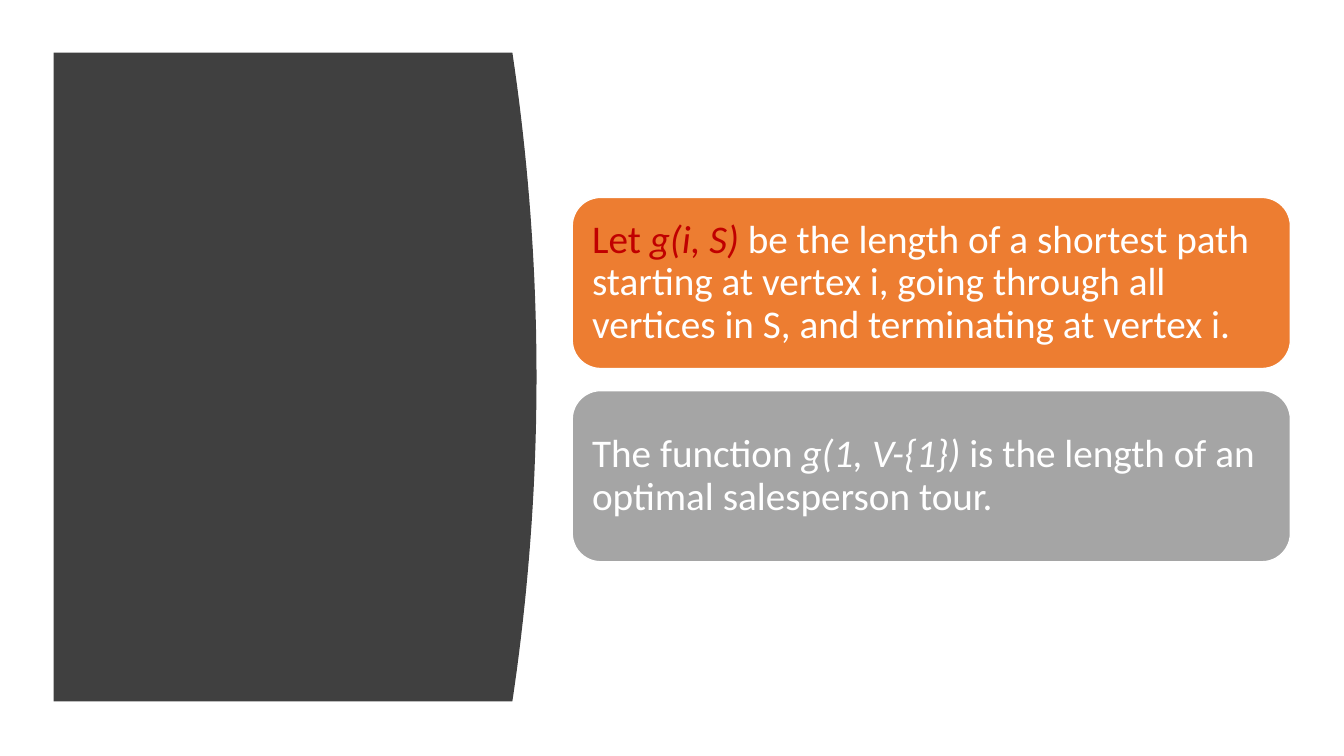
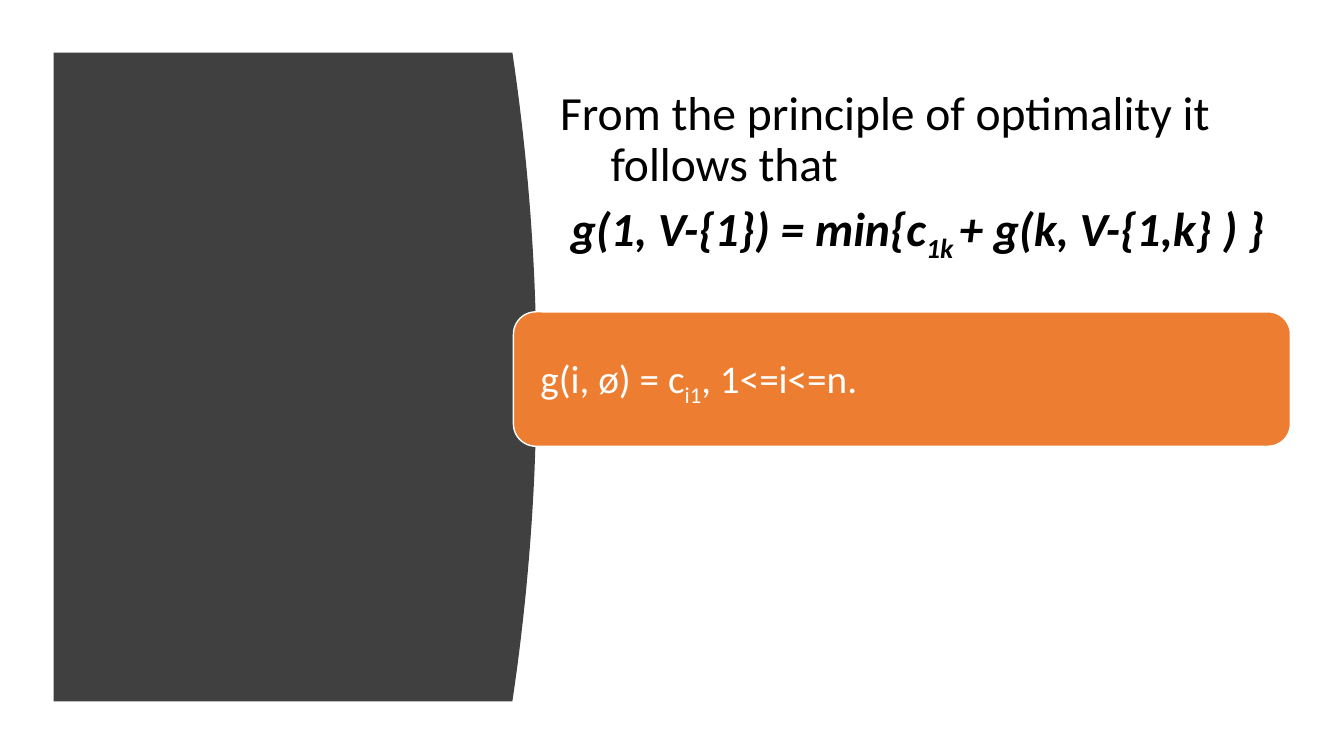
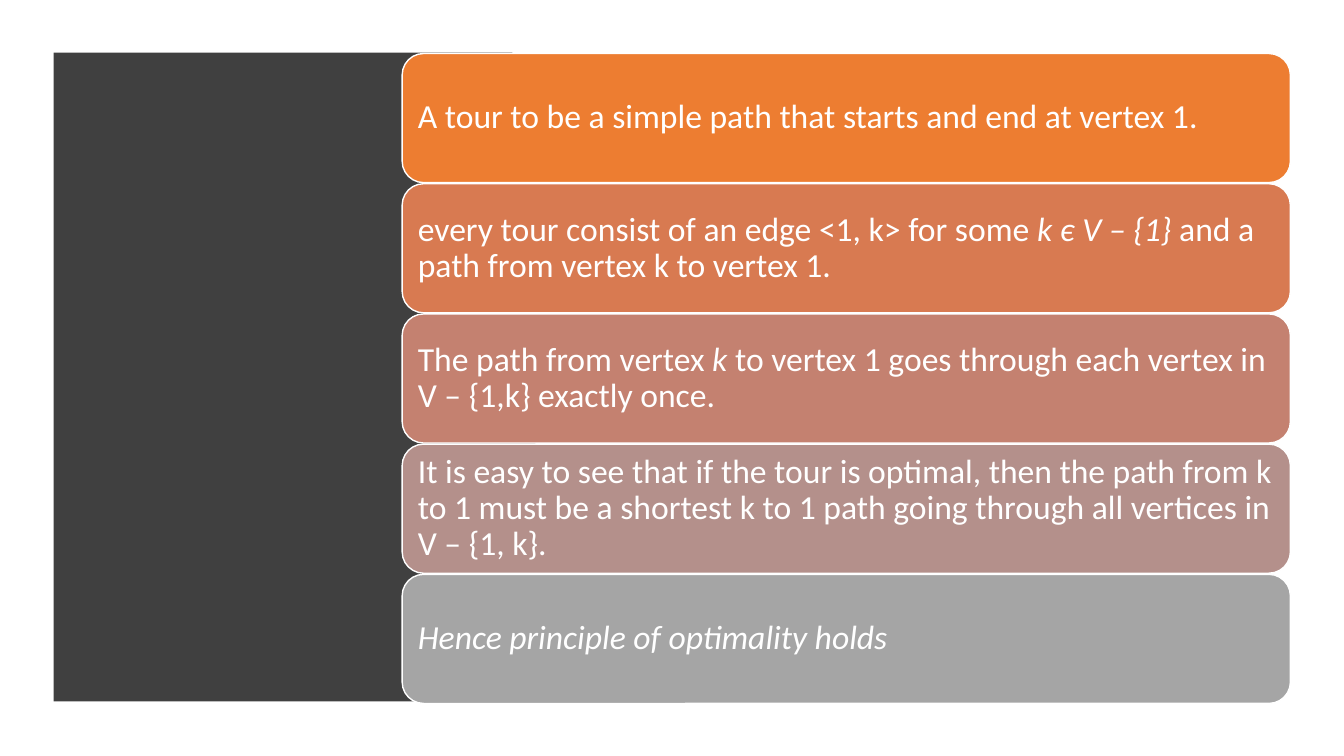
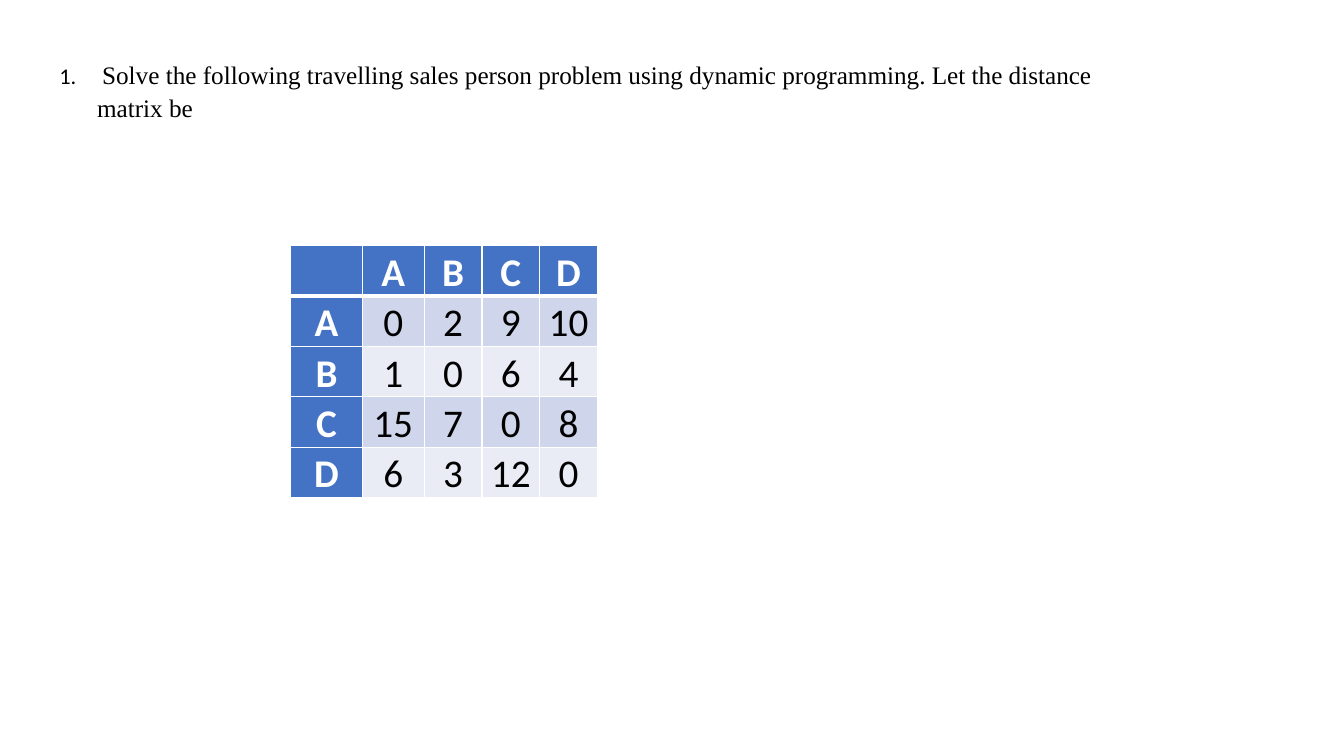
"""Build four slides on the travelling salesperson problem."""
from dataclasses import dataclass

import pptx
import pptx.dml.color
import pptx.enum.shapes
import pptx.enum.text
import pptx.oxml.ns
import pptx.shapes.autoshape
import pptx.slide
import pptx.table
import pptx.text.text
import pptx.util
from lxml import etree

PX = 9525


@dataclass(frozen=True)
class Theme:
    sans: str = "Calibri"
    serif: str = "Times New Roman"
    white: str = "FFFFFF"
    black: str = "000000"
    panel: str = "404040"
    orange: str = "ED7D31"
    gray: str = "A5A5A5"
    accent: str = "C00000"
    blend: tuple[str, ...] = ("ED7D31", "D87A51", "C48170", "B4908B", "A5A5A5")
    table_head: str = "4472C4"
    table_bands: tuple[str, str] = ("CFD5EA", "E9EBF5")
    statement: int = 34
    card: int = 28
    dense_card: int = 24
    question: int = 18
    number: int = 16


THEME = Theme()


@dataclass(frozen=True)
class Span:
    text: str
    italic: bool = False
    bold: bool = False
    subscript: bool = False
    color: str | None = None
    font: str = THEME.sans
    size: int | None = None


@dataclass(frozen=True)
class Area:
    left: int
    top: int
    width: int
    height: int

    def emu(self) -> tuple[int, int, int, int]:
        return self.left * PX, self.top * PX, self.width * PX, self.height * PX


@dataclass(frozen=True)
class Card:
    spans: tuple[Span, ...]
    fill: str


DEFINITIONS = (
    Card((Span("Let ", color=THEME.accent),
          Span("g(i, S) ", italic=True, color=THEME.accent),
          Span("be the length of a shortest path starting at vertex i, going through "
               "all vertices in S, and terminating at vertex i.")), THEME.orange),
    Card((Span("The function "), Span("g(1, V-{1}) ", italic=True),
          Span("is the length of an optimal salesperson tour.")), THEME.gray),
)
BASE_CASE = Card((Span(" g(i, ø) = c"), Span("i1", subscript=True),
                  Span(", 1<=i<=n.")), THEME.orange)
PRINCIPLE = (Span("From the principle of optimality it follows that"),)
RECURRENCE = (
    Span(" ", italic=True),
    Span("g(1, V-{1}) = min{c", italic=True, bold=True),
    Span("1k ", italic=True, bold=True, subscript=True),
    Span("+ g(k, V-{1,k} ) }", italic=True, bold=True),
)
ARGUMENT = (
    (Span("A tour to be a simple path that starts and end at vertex 1."),),
    (Span("every tour consist of an edge <1, k> for some "),
     Span("k є V – {1} ", italic=True),
     Span("and a path from vertex k to vertex 1.")),
    (Span("The path from vertex "), Span("k ", italic=True),
     Span("to vertex 1 goes through each vertex in V – {1,k} exactly once.")),
    (Span("It is easy to see that if the tour is optimal, then the path from k to 1 "
          "must be a shortest k to 1 path going through all vertices in V – {1, k}."),),
    (Span("Hence principle of optimality holds", italic=True),),
)
QUESTION = (
    Span(" ", size=THEME.number),
    Span("Solve the following travelling sales person problem using dynamic "
         "programming. Let the distance matrix be", font=THEME.serif),
)
DISTANCES = (
    ("", "A", "B", "C", "D"),
    ("A", "0", "2", "9", "10"),
    ("B", "1", "0", "6", "4"),
    ("C", "15", "7", "0", "8"),
    ("D", "6", "3", "12", "0"),
)
COLUMN_WIDTHS = (68, 59, 55, 55, 55)


def rgb(color: str) -> pptx.dml.color.RGBColor:
    return pptx.dml.color.RGBColor.from_string(color)


def add_slide(deck: pptx.presentation.Presentation) -> pptx.slide.Slide:
    return deck.slides.add_slide(deck.slide_layouts[6])


def write_spans(para: pptx.text.text._Paragraph, spans: tuple[Span, ...],
                size: int, color: str, line_spacing: float = 0.9) -> None:
    para.line_spacing = line_spacing
    for span in spans:
        run = para.add_run()
        run.text = span.text
        font = run.font
        font.name = span.font
        font.size = pptx.util.Pt(span.size or size)
        font.bold = span.bold
        font.italic = span.italic
        font.color.rgb = rgb(span.color or color)
        if span.subscript:
            font._element.set("baseline", "-25000")


def hang_indent(para: pptx.text.text._Paragraph, indent: int) -> None:
    properties = para._p.get_or_add_pPr()
    properties.set("marL", str(indent * PX))
    properties.set("indent", str(-indent * PX))


def number_paragraph(para: pptx.text.text._Paragraph, tab: int) -> None:
    properties = para._p.get_or_add_pPr()
    etree.SubElement(properties, pptx.oxml.ns.qn("a:buAutoNum"), type="arabicPeriod")
    tabs = etree.SubElement(properties, pptx.oxml.ns.qn("a:tabLst"))
    etree.SubElement(tabs, pptx.oxml.ns.qn("a:tab"), pos=str(tab * PX), algn="l")


def add_panel(slide: pptx.slide.Slide) -> None:
    left, top, shoulder, bulge, bottom = 51, 50, 488, 23, 668
    steps = 40
    curve = []
    for step in range(steps + 1):
        share = step / steps
        x = shoulder + bulge * 4 * share * (1 - share)
        curve.append((round(x * PX), round((top + (bottom - top) * share) * PX)))
    builder = slide.shapes.build_freeform(left * PX, top * PX)
    builder.add_line_segments(curve + [(left * PX, bottom * PX)], close=True)
    panel = builder.convert_to_shape()
    panel.shadow.inherit = False
    panel.fill.solid()
    panel.fill.fore_color.rgb = rgb(THEME.panel)
    panel.line.fill.background()


def add_card(slide: pptx.slide.Slide, card: Card, area: Area, size: int,
             inset: int) -> None:
    box = slide.shapes.add_shape(
        pptx.enum.shapes.MSO_SHAPE.ROUNDED_RECTANGLE, *area.emu())
    box.shadow.inherit = False
    box.fill.solid()
    box.fill.fore_color.rgb = rgb(card.fill)
    box.line.color.rgb = rgb(THEME.white)
    box.line.width = pptx.util.Pt(1)
    frame = box.text_frame
    frame.word_wrap = True
    frame.vertical_anchor = pptx.enum.text.MSO_ANCHOR.MIDDLE
    frame.margin_left = frame.margin_right = inset * PX
    frame.margin_top = frame.margin_bottom = inset * PX
    para = frame.paragraphs[0]
    para.alignment = pptx.enum.text.PP_ALIGN.LEFT
    write_spans(para, card.spans, size, THEME.white)


def add_card_stack(slide: pptx.slide.Slide, cards: tuple[Card, ...], first: Area,
                   pitch: int, size: int, inset: int) -> None:
    for index, card in enumerate(cards):
        area = Area(first.left, first.top + index * pitch, first.width, first.height)
        add_card(slide, card, area, size, inset)


def add_text(slide: pptx.slide.Slide, area: Area) -> pptx.text.text.TextFrame:
    frame = slide.shapes.add_textbox(*area.emu()).text_frame
    frame.word_wrap = True
    return frame


def border_cell(cell: pptx.table._Cell, top: int, bottom: int) -> None:
    properties = cell._tc.get_or_add_tcPr()
    for side, width in (("L", 1), ("R", 1), ("T", top), ("B", bottom)):
        line = etree.SubElement(properties, pptx.oxml.ns.qn(f"a:ln{side}"),
                                w=str(pptx.util.Pt(width)))
        fill = etree.SubElement(line, pptx.oxml.ns.qn("a:solidFill"))
        etree.SubElement(fill, pptx.oxml.ns.qn("a:srgbClr"), val=THEME.white)


def add_distance_table(slide: pptx.slide.Slide) -> None:
    row_height = 46
    area = Area(277, 234, sum(COLUMN_WIDTHS), row_height * len(DISTANCES))
    table = slide.shapes.add_table(
        len(DISTANCES), len(COLUMN_WIDTHS), *area.emu()).table
    table.horz_banding = False
    for column, width in zip(table.columns, COLUMN_WIDTHS):
        column.width = width * PX
    for row, values in enumerate(DISTANCES):
        table.rows[row].height = row_height * PX
        for column, value in enumerate(values):
            cell = table.cell(row, column)
            head = row == 0 or column == 0
            border_cell(cell, 3 if row == 1 else 1, 3 if row == 0 else 1)
            cell.fill.solid()
            cell.fill.fore_color.rgb = rgb(
                THEME.table_head if head else THEME.table_bands[(row - 1) % 2])
            cell.margin_left = cell.margin_right = 7 * PX
            cell.margin_top = cell.margin_bottom = 0
            if value:
                para = cell.text_frame.paragraphs[0]
                para.alignment = pptx.enum.text.PP_ALIGN.CENTER
                write_spans(para, (Span(value, bold=head),), THEME.card,
                            THEME.white if head else THEME.black, 1.07)


def build_definitions(deck: pptx.presentation.Presentation) -> None:
    slide = add_slide(deck)
    add_panel(slide)
    add_card_stack(slide, DEFINITIONS, Area(545, 188, 684, 163), 184, THEME.card, 11)


def build_recurrence(deck: pptx.presentation.Presentation) -> None:
    slide = add_slide(deck)
    add_panel(slide)
    add_card(slide, BASE_CASE, Area(489, 297, 740, 128), THEME.card, 11)
    frame = add_text(slide, Area(524, 70, 726, 191))
    frame.vertical_anchor = pptx.enum.text.MSO_ANCHOR.MIDDLE
    principle, recurrence = frame.paragraphs[0], frame.add_paragraph()
    hang_indent(principle, 48)
    for para, spans in ((principle, PRINCIPLE), (recurrence, RECURRENCE)):
        write_spans(para, spans, THEME.statement, THEME.black)
        para.space_after = pptx.util.Pt(6)


def build_argument(deck: pptx.presentation.Presentation) -> None:
    slide = add_slide(deck)
    add_panel(slide)
    cards = tuple(Card(spans, fill) for spans, fill in zip(ARGUMENT, THEME.blend))
    add_card_stack(slide, cards, Area(383, 51, 846, 123), 124, THEME.dense_card, 9)


def build_exercise(deck: pptx.presentation.Presentation) -> None:
    slide = add_slide(deck)
    para = add_text(slide, Area(47, 50, 1071, 70)).paragraphs[0]
    hang_indent(para, 36)
    number_paragraph(para, 90)
    write_spans(para, QUESTION, THEME.question, THEME.black, 1.07)
    para.space_after = pptx.util.Pt(8)
    add_distance_table(slide)


def main() -> None:
    deck = pptx.Presentation()
    deck.slide_width = 1280 * PX
    deck.slide_height = 720 * PX
    for build in (build_definitions, build_recurrence, build_argument, build_exercise):
        build(deck)
    deck.save("out.pptx")


if __name__ == "__main__":
    main()
